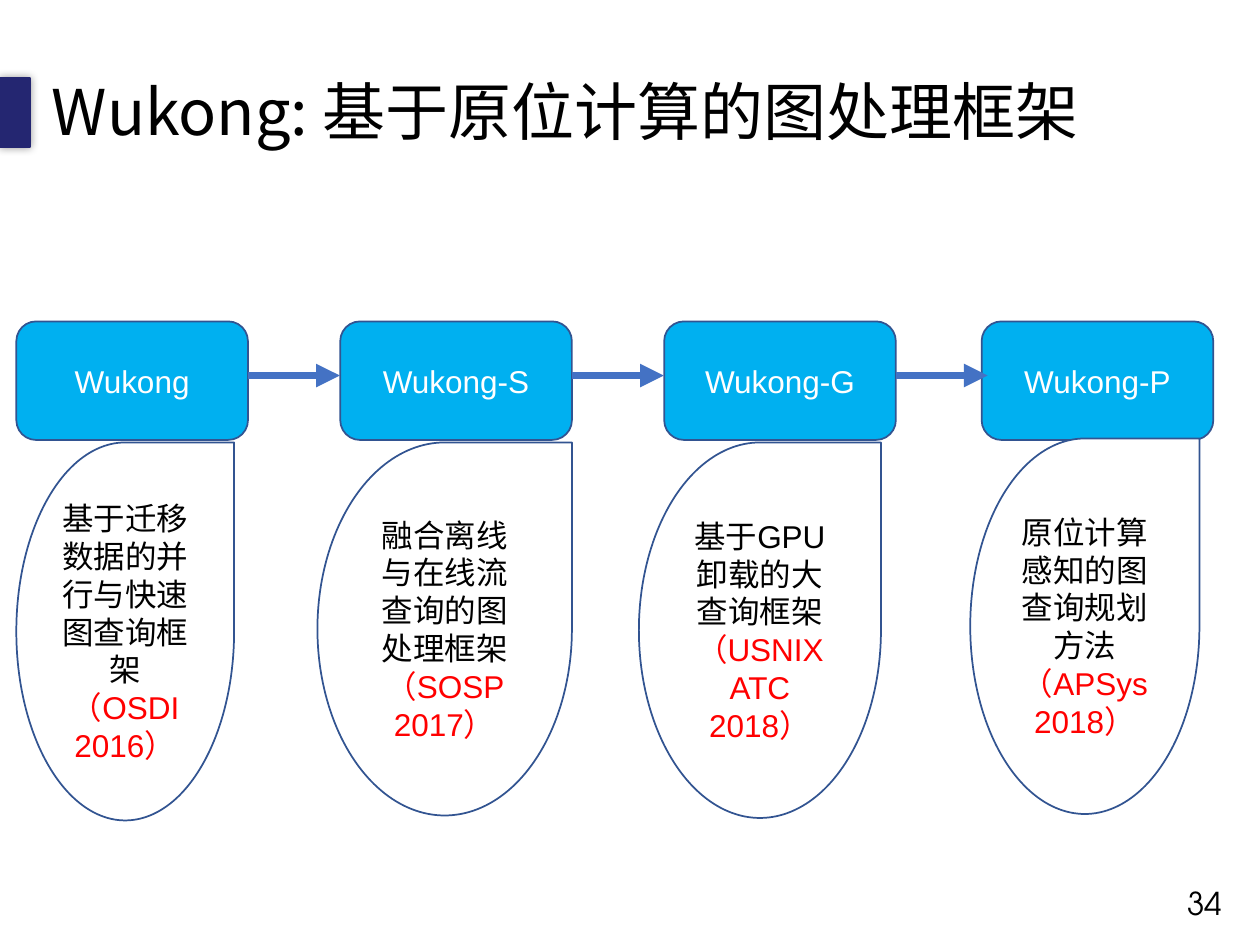
import pptx
import pptx.util
import pptx.dml.color
import pptx.enum.shapes
import pptx.enum.text
import pptx.oxml
import pptx.oxml.ns
from pptx.util import Cm

COLORS = {
    "accent": "242671",
    "box": "00B0F0",
    "outline": "325491",
    "arrow": "4472C4",
    "white": "FFFFFF",
    "black": "000000",
    "venue": "FF0000",
}
LATIN = "Arial"
CHINESE = "Noto Sans CJK SC"
SHAPES = pptx.enum.shapes.MSO_SHAPE
ALIGN = pptx.enum.text.PP_ALIGN
MIDDLE = pptx.enum.text.MSO_ANCHOR.MIDDLE


def rgb(name):
    return pptx.dml.color.RGBColor.from_string(COLORS[name])


def add_xml(parent, tag, **attributes):
    element = pptx.oxml.parse_xml(f"<a:{tag} {pptx.oxml.ns.nsdecls('a')}/>")
    for key, setting in attributes.items():
        element.set(key, str(setting))
    parent.append(element)
    return element


class FrameworkSlide:
    def __init__(self, slide):
        self.slide = slide
        self.shapes = slide.shapes

    def format_run(self, run, size, color, font=LATIN):
        run.font.size = pptx.util.Pt(size)
        run.font.name = font
        run.font.color.rgb = rgb(color)
        add_xml(run.font._element, "ea", typeface=CHINESE)

    def title(self, wording, left, top, width, height):
        heading = self.shapes.title
        heading.left, heading.top = Cm(left), Cm(top)
        heading.width, heading.height = Cm(width), Cm(height)
        heading.text_frame.text = wording
        heading.text_frame.vertical_anchor = MIDDLE
        line = heading.text_frame.paragraphs[0]
        line.alignment = ALIGN.LEFT
        line.line_spacing = 0.9
        self.format_run(line.runs[0], 36, "black", CHINESE)

    def page_number(self, number, left, top, width, height):
        frame = self.shapes.add_textbox(Cm(left), Cm(top), Cm(width), Cm(height)).text_frame
        frame.word_wrap = True
        frame.vertical_anchor = MIDDLE
        frame.text = number
        frame.paragraphs[0].alignment = ALIGN.RIGHT
        self.format_run(frame.paragraphs[0].runs[0], 18, "black", "TeX Gyre Adventor")

    def block(self, kind, left, top, width, height, fill, outline, parts=()):
        block = self.shapes.add_shape(kind, Cm(left), Cm(top), Cm(width), Cm(height))
        block.fill.solid()
        block.fill.fore_color.rgb = rgb(fill)
        block.line.color.rgb = rgb(outline)
        block.line.width = pptx.util.Pt(1)
        block.shadow.inherit = False
        block.text_frame.word_wrap = True
        block.text_frame.vertical_anchor = MIDDLE
        paragraph = block.text_frame.paragraphs[0]
        paragraph.alignment = ALIGN.CENTER
        for wording, color in parts:
            run = paragraph.add_run()
            run.text = wording
            self.format_run(run, 18, color)
        return block

    def accent_bar(self, left, top, width, height):
        bar = self.block(SHAPES.RECTANGLE, left, top, width, height, "accent", "accent")
        effects = bar._element.spPr.find(pptx.oxml.ns.qn("a:effectLst"))
        glow = add_xml(effects, "outerShdw", blurRad=pptx.util.Pt(5), dist=0, dir=0)
        shade = add_xml(glow, "srgbClr", val=COLORS["black"])
        add_xml(shade, "alpha", val=40000)

    def arrow(self, left, y, length):
        arrow = self.shapes.add_connector(
            pptx.enum.shapes.MSO_CONNECTOR.STRAIGHT, Cm(left), Cm(y), Cm(left + length), Cm(y))
        arrow.line.color.rgb = rgb("arrow")
        arrow.line.width = pptx.util.Pt(4.5)
        add_xml(arrow.line._get_or_add_ln(), "tailEnd", type="triangle")
        add_xml(arrow._element.spPr, "effectLst")


BOX_TOP, BOX_WIDTH, BOX_HEIGHT = 6.48, 4.67, 2.39
ARROW_Y, ARROW_LENGTH = 7.57, 1.85
SYSTEMS = [
    ("Wukong", 0.33, "基于迁移数据的并行与快速图查询框架", "（OSDI 2016）",
     (0.33, 8.92, 4.39, 7.62)),
    ("Wukong-S", 6.86, "融合离线与在线流查询的图处理框架", "（SOSP 2017）",
     (6.4, 8.92, 5.13, 7.52)),
    ("Wukong-G", 13.39, "基于GPU卸载的大查询框架 ", "（USNIX ATC 2018）",
     (12.88, 8.92, 4.88, 7.57)),
    ("Wukong-P", 19.79, "原位计算感知的图查询规划方法 ", "（APSys 2018）",
     (19.56, 8.84, 4.62, 7.57)),
]


def main():
    deck = pptx.Presentation()
    deck.slide_width, deck.slide_height = Cm(25.4), Cm(19.05)
    page = FrameworkSlide(deck.slides.add_slide(deck.slide_layouts[5]))

    page.accent_bar(0, 1.57, 0.61, 1.4)
    page.page_number("34", 23.09, 17.7, 1.8, 1.02)
    page.title("Wukong: 基于原位计算的图处理框架", 0.79, 0.36, 24.61, 3.94)

    for system, left, *_ in SYSTEMS:
        page.block(SHAPES.ROUNDED_RECTANGLE, left, BOX_TOP, BOX_WIDTH, BOX_HEIGHT,
                   "box", "outline", [(system, "white")])
    for _, left, *_ in SYSTEMS[:-1]:
        page.arrow(left + BOX_WIDTH, ARROW_Y, ARROW_LENGTH)
    for _, _, summary, venue, place in SYSTEMS:
        page.block(SHAPES.TEAR, *place, "white", "outline",
                   [(summary, "black"), (venue, "venue")])

    deck.save("out.pptx")


if __name__ == "__main__":
    main()
